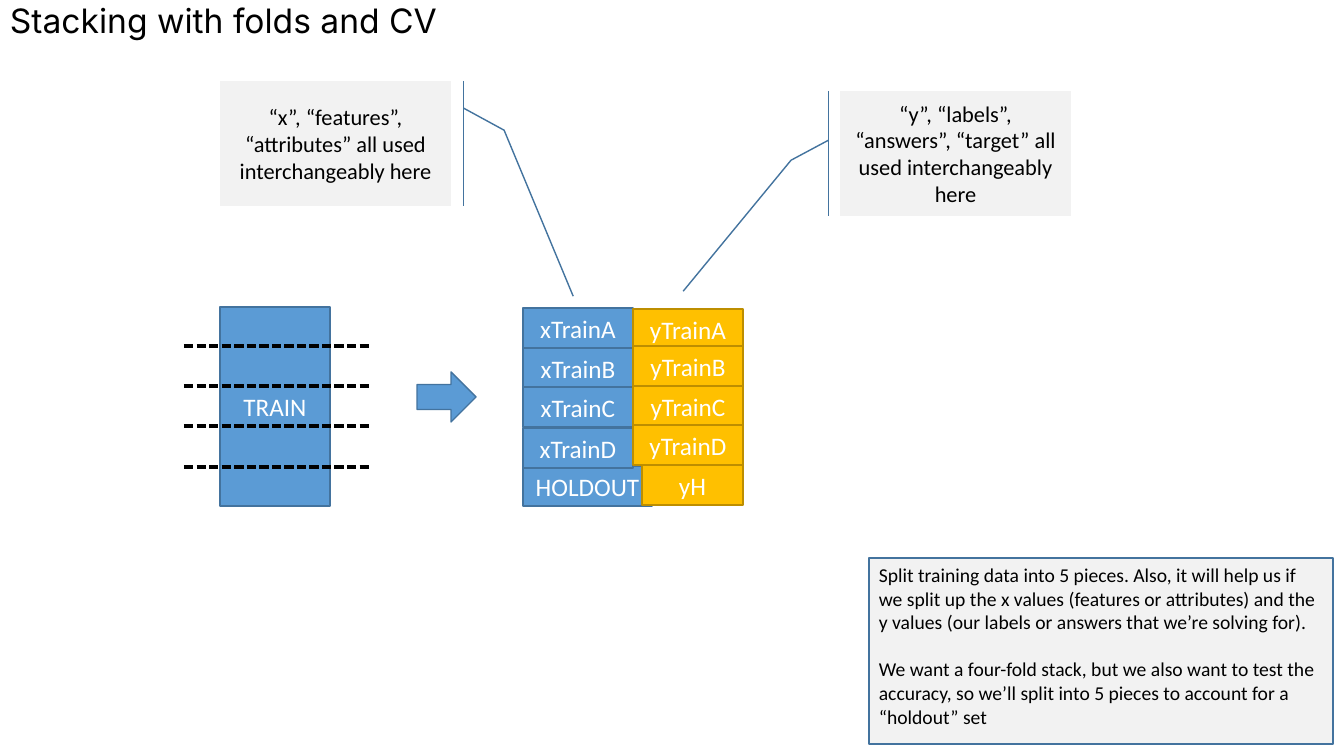
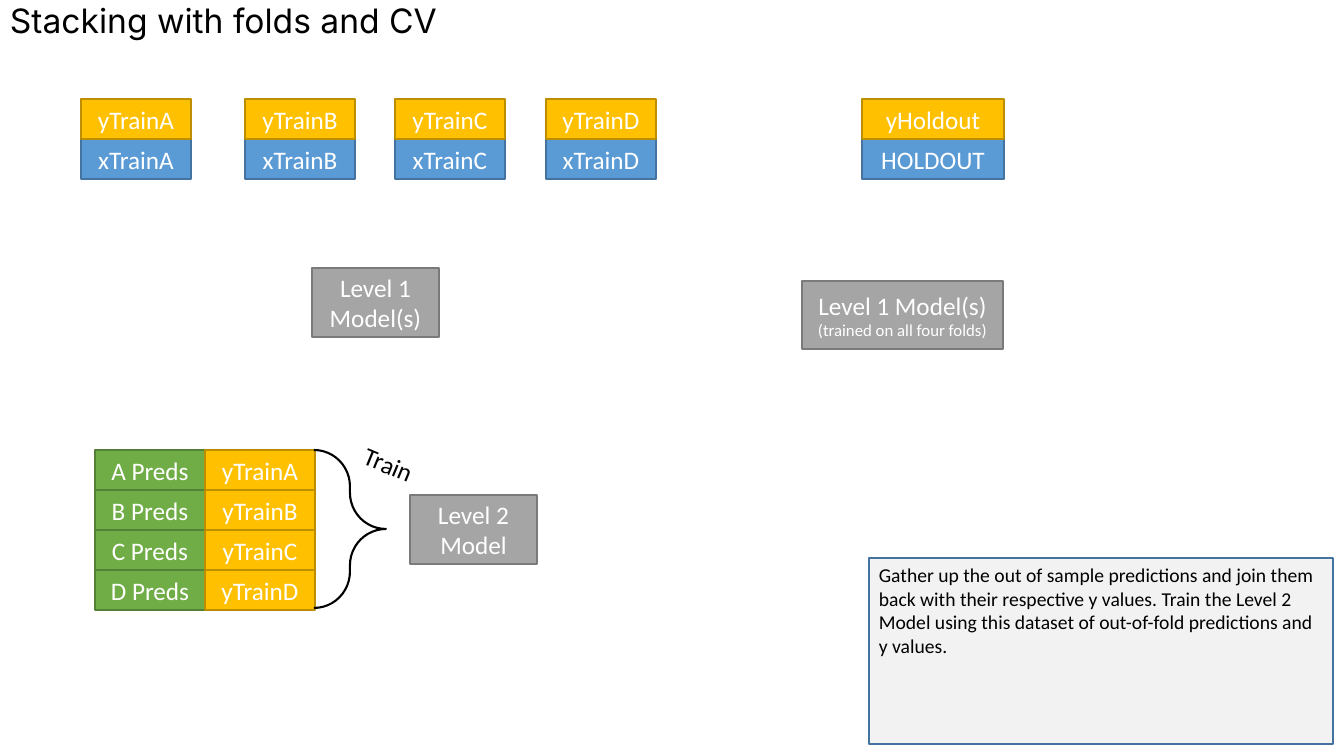
import pptx
import pptx.util
import pptx.dml.color
import pptx.enum.dml
import pptx.enum.shapes
import pptx.enum.text
import pptx.oxml.ns
import lxml.etree

SHAPE = pptx.enum.shapes.MSO_SHAPE
ALIGN = pptx.enum.text.PP_ALIGN
ANCHOR = pptx.enum.text.MSO_ANCHOR

BLUE = ("5B9BD5", "43739E")
GOLD = ("FFC000", "BD8E00")
GREEN = ("70AD47", "538035")
GRAY = ("A5A5A5", "7A7A7A")
PALE = ("F2F2F2", "43739E")
BLACK = "000000"
WHITE = "FFFFFF"
FOLDS = "ABCD"
CELL_W, CELL_H = 110, 40


def px(n):
    return pptx.util.Emu(round(n * 914400 / 100.8))


def rgb(value):
    return pptx.dml.color.RGBColor.from_string(value)


class Deck:
    font = "Calibri"
    title_font = "Inter"

    def __init__(self):
        self.prs = pptx.Presentation()
        self.prs.slide_width = px(1344)
        self.prs.slide_height = px(756)

    def slide(self, title):
        self.s = self.prs.slides.add_slide(self.prs.slide_layouts[6])
        sp = self.text(0, 0, 1344, 46, title, 24, self.title_font)
        sp.text_frame.vertical_anchor = ANCHOR.MIDDLE
        sp.text_frame.paragraphs[0].line_spacing = 0.9

    def set_text(self, sp, text, sizes, color, align=ALIGN.LEFT, font=font):
        tf = sp.text_frame
        tf.word_wrap = True
        tf.text = text
        for i, p in enumerate(tf.paragraphs):
            p.alignment = align
            for r in p.runs:
                r.font.size = pptx.util.Pt(sizes[min(i, len(sizes) - 1)])
                r.font.name = font
                r.font.color.rgb = rgb(color)

    def text(self, x, y, w, h, text, size, font=font, rotation=0):
        sp = self.s.shapes.add_textbox(px(x), px(y), px(w), px(h))
        sp.rotation = rotation
        self.set_text(sp, text, [size], BLACK, font=font)
        return sp

    def shape(self, kind, x, y, w, h, colors, width=1, adjustments=()):
        sp = self.s.shapes.add_shape(kind, px(x), px(y), px(w), px(h))
        sp.shadow.inherit = False
        fill, line = colors
        if fill:
            sp.fill.solid()
            sp.fill.fore_color.rgb = rgb(fill)
        else:
            sp.fill.background()
        sp.line.color.rgb = rgb(line)
        sp.line.width = pptx.util.Pt(width)
        for i, value in enumerate(adjustments):
            sp.adjustments[i] = value
        return sp

    def box(self, x, y, w, h, text, colors, sizes=(18,)):
        sp = self.shape(SHAPE.RECTANGLE, x, y, w, h, colors)
        sp.text_frame.vertical_anchor = ANCHOR.MIDDLE
        self.set_text(sp, text, sizes, WHITE, ALIGN.CENTER)

    def cell(self, x, y, text, colors):
        self.box(x, y, CELL_W, CELL_H, text, colors)

    def note(self, text):
        sp = self.shape(SHAPE.RECTANGLE, 869, 558, 464, 186, PALE)
        sp.text_frame.vertical_anchor = ANCHOR.TOP
        self.set_text(sp, text, [14], BLACK)
        for p in sp.text_frame.paragraphs[:-1]:
            p.space_after = pptx.util.Pt(17)

    def callout(self, x, y, text, adjustments):
        sp = self.shape(SHAPE.LINE_CALLOUT_2_ACCENT_BAR, x, y, 231, 125, PALE,
                        adjustments=adjustments)
        sp.text_frame.vertical_anchor = ANCHOR.MIDDLE
        self.set_text(sp, text, [16], BLACK, ALIGN.CENTER)

    def dashes(self, x1, x2, y):
        line = self.s.shapes.add_connector(
            pptx.enum.shapes.MSO_CONNECTOR.STRAIGHT, px(x1), px(y), px(x2), px(y))
        line.line.color.rgb = rgb(BLACK)
        line.line.width = pptx.util.Pt(2.25)
        line.line.dash_style = pptx.enum.dml.MSO_LINE.SQUARE_DOT
        sp_pr = line._element.spPr
        lxml.etree.SubElement(sp_pr, pptx.oxml.ns.qn("a:effectLst"))


TITLE = "Stacking with folds and CV"
deck = Deck()

deck.slide(TITLE)
deck.box(220, 307, CELL_W, 199, "TRAIN", BLUE)
deck.box(523, 466, 129, CELL_H, "HOLDOUT", BLUE)
deck.note("Split training data into 5 pieces. Also, it will help us if we split up "
          "the x values (features or attributes) and the y values (our labels or "
          "answers that we’re solving for).\n"
          "We want a four-fold stack, but we also want to test the accuracy, so "
          "we’ll split into 5 pieces to account for a “holdout” set")
for fold, y in zip(FOLDS, (308, 348, 387, 428)):
    deck.cell(523, y, "xTrain" + fold, BLUE)
for fold, y in zip(FOLDS, (309, 346, 386, 425)):
    deck.cell(633, y, "yTrain" + fold, GOLD)
deck.box(642, 465, 101, CELL_H, "yH", GOLD)
for y in (346, 386, 426, 467):
    deck.dashes(184, 370, y)
deck.shape(SHAPE.RIGHT_ARROW, 417, 372, 59, 50, BLUE)
deck.callout(220, 81, "“x”, “features”, “attributes” all used interchangeably here",
             (0.217, 1.054, 0.394, 1.23, 1.722, 1.529))
deck.callout(840, 91, "“y”, “labels”, “answers”, “target” all used interchangeably here",
             (0.394, -0.05, 0.554, -0.212, 1.602, -0.679))

deck.slide(TITLE)
for fold, x in zip(FOLDS, (81, 245, 395, 546)):
    deck.cell(x, 139, "xTrain" + fold, BLUE)
    deck.cell(x, 99, "yTrain" + fold, GOLD)
deck.box(862, 139, 142, CELL_H, "HOLDOUT", BLUE)
deck.box(862, 99, 142, CELL_H, "yHoldout", GOLD)
deck.box(312, 268, 127, 69, "Level 1 Model(s)", GRAY)
deck.box(802, 281, 201, 68, "Level 1 Model(s)\n(trained on all four folds)", GRAY, (18, 12))
deck.note("Gather up the out of sample predictions and join them back with their "
          "respective y values. Train the Level 2 Model using this dataset of "
          "out-of-fold predictions and y values.")
for i, fold in enumerate(FOLDS):
    y = 450 + i * CELL_H
    deck.cell(95, y, fold + " Preds", GREEN)
    deck.cell(205, y, "yTrain" + fold, GOLD)
deck.box(410, 495, 127, 69, "Level 2 Model", GRAY)
deck.shape(SHAPE.RIGHT_BRACE, 314, 450, 72, 158, (None, BLACK), 1.5, (0.504, 0.5))
deck.text(352, 453, 116, CELL_H, "Train", 18, rotation=22.6)

deck.prs.save("out.pptx")
